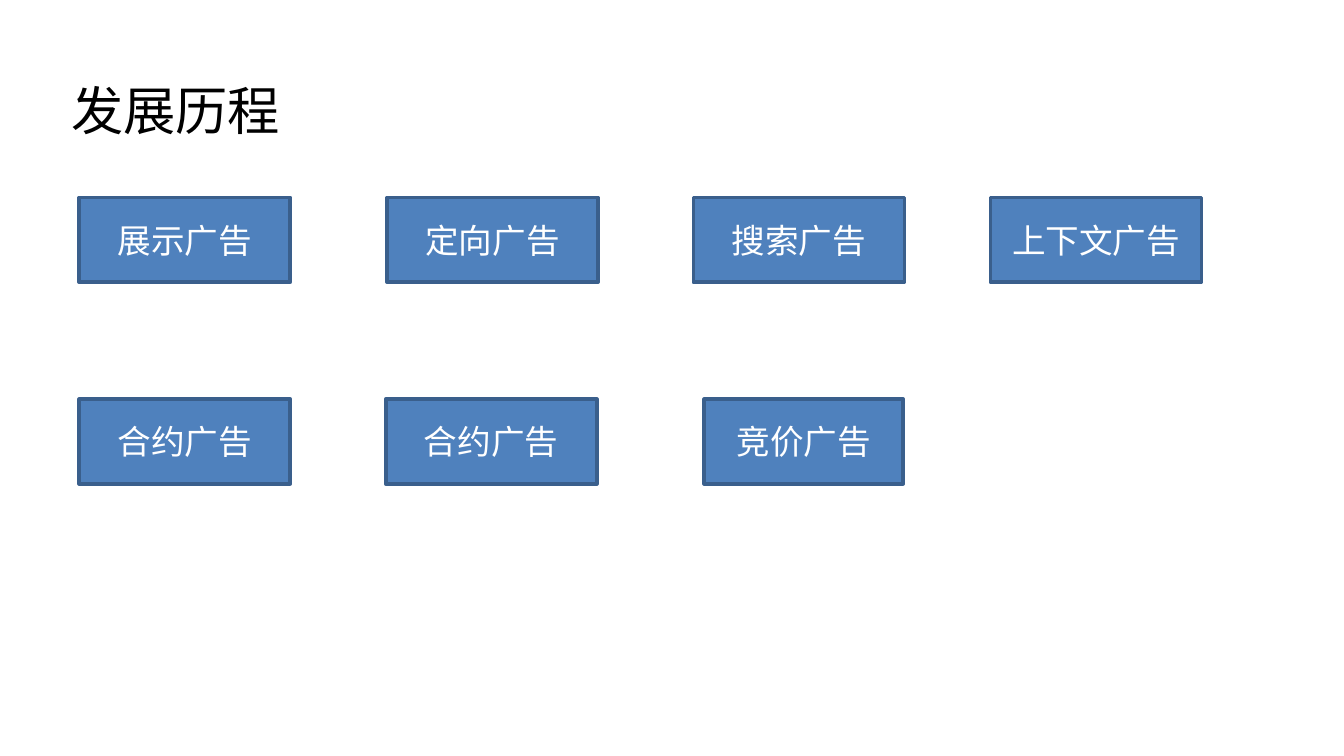
from pptx import Presentation
from pptx.dml.color import RGBColor
from pptx.enum.shapes import MSO_SHAPE as Shape
from pptx.enum.text import MSO_ANCHOR as Anchor, PP_ALIGN as Align
from pptx.oxml.ns import qn
from pptx.util import Inches, Pt

FONT = "Noto Sans CJK SC"
TITLE = "发展历程"
WIDE, HIGH = 1.57, 0.63
# Each row: top, then (text, left, width) for its boxes
ROWS = [
    (1.47, [("展示广告", 0.59, WIDE), ("定向广告", 2.88, WIDE),
            ("搜索广告", 5.16, WIDE), ("上下文广告", 7.37, WIDE)]),
    (2.97, [("合约广告", 0.59, WIDE), ("合约广告", 2.87, WIDE),
            ("竞价广告", 5.24, 1.48)]),
]


def color(code):
    return RGBColor.from_string(code)


def write(shape, text, size=18, ink="FFFFFF", align=Align.CENTER,
          anchor=Anchor.MIDDLE):
    frame = shape.text_frame
    frame.word_wrap = True
    frame.vertical_anchor = anchor
    para = frame.paragraphs[0]
    para.alignment = align
    run = para.add_run()
    run.text = text
    font = run.font
    font.name, font.size = FONT, Pt(size)
    font.color.rgb = color(ink)
    # East Asian text takes its face from a:ea
    props = run._r.get_or_add_rPr()
    props.append(props.makeelement(qn("a:ea"), {"typeface": FONT}))


def add_box(slide, text, left, top, width):
    box = slide.shapes.add_shape(Shape.RECTANGLE, Inches(left), Inches(top),
                                 Inches(width), Inches(HIGH))
    box.shadow.inherit = False
    box.fill.solid()
    box.fill.fore_color.rgb = color("4F81BD")
    box.line.color.rgb = color("3A5F8C")
    box.line.width = Pt(2)
    write(box, text)


def main():
    deck = Presentation()
    deck.slide_width = Inches(10)
    deck.slide_height = Inches(10 * 9 / 16)
    slide = deck.slides.add_slide(deck.slide_layouts[6])
    title = slide.shapes.add_textbox(Inches(0.43), Inches(0.53),
                                     Inches(7.72), Inches(HIGH))
    write(title, TITLE, size=28, ink="000000", align=Align.LEFT,
          anchor=Anchor.TOP)
    for top, boxes in ROWS:
        for text, left, width in boxes:
            add_box(slide, text, left, top, width)
    deck.save("out.pptx")


if __name__ == "__main__":
    main()
